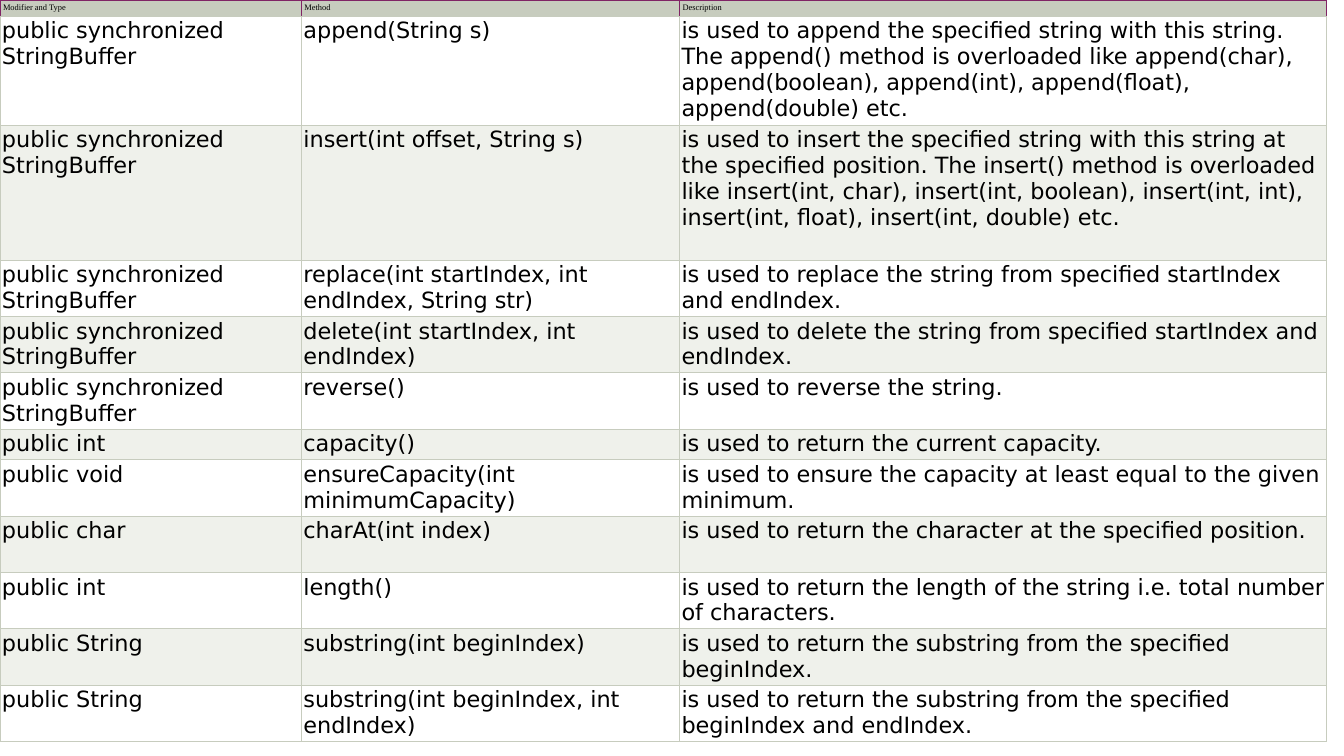
"""Build a slide with a reference table of StringBuffer methods."""
import dataclasses

import lxml.etree
import pptx
import pptx.dml.color
import pptx.oxml.ns
import pptx.util

HEAD = ("Modifier and Type", "Method", "Description")
SYNC = "public synchronized StringBuffer"
ROWS = [
    (SYNC, "append(String s)",
     "is used to append the specified string with this string. The append() method is "
     "overloaded like append(char), append(boolean), append(int), append(float), "
     "append(double) etc."),
    (SYNC, "insert(int offset, String s)",
     "is used to insert the specified string with this string at the specified position. "
     "The insert() method is overloaded like insert(int, char), insert(int, boolean), "
     "insert(int, int), insert(int, float), insert(int, double) etc."),
    (SYNC, "replace(int startIndex, int endIndex, String str)",
     "is used to replace the string from specified startIndex and endIndex."),
    (SYNC, "delete(int startIndex, int endIndex)",
     "is used to delete the string from specified startIndex and endIndex."),
    (SYNC, "reverse()", "is used to reverse the string."),
    ("public int", "capacity()", "is used to return the current capacity."),
    ("public void", "ensureCapacity(int minimumCapacity)",
     "is used to ensure the capacity at least equal to the given minimum."),
    ("public char", "charAt(int index)",
     "is used to return the character at the specified position."),
    ("public int", "length()",
     "is used to return the length of the string i.e. total number of characters."),
    ("public String", "substring(int beginIndex)",
     "is used to return the substring from the specified beginIndex."),
    ("public String", "substring(int beginIndex, int endIndex)",
     "is used to return the substring from the specified beginIndex and endIndex."),
]
WIDTHS = (2.99, 3.75, 6.42)
HEIGHTS = {0: 0.16, 1: 1.08, 2: 1.34, 6: 0.3}
TWO_LINES = 0.56


@dataclasses.dataclass(frozen=True)
class Theme:
    """Colours, fonts and sizes of the slide."""
    ink: str = "000000"
    sage: str = "C7CCBE"
    plum: str = "802465"
    bands: tuple = ("EFF1EB", "FFFFFF")
    head_font: str = "Times New Roman"
    body_font: str = "DejaVu Sans"
    head_size: float = 6
    body_size: float = 16
    line: float = 0.75


THEME = Theme()
Inches = pptx.util.Inches
Pt = pptx.util.Pt


def color(code):
    """Turn a hex code into a colour."""
    return pptx.dml.color.RGBColor.from_string(code)


def border(cell, side, code):
    """Draw one side of a cell."""
    qn = pptx.oxml.ns.qn
    props = cell._tc.get_or_add_tcPr()
    line = lxml.etree.SubElement(props, qn("a:ln" + side), w=str(Pt(THEME.line)))
    fill = lxml.etree.SubElement(line, qn("a:solidFill"))
    lxml.etree.SubElement(fill, qn("a:srgbClr"), val=code)


def fill_cell(cell, text, row):
    """Write and style one cell."""
    head = row == 0
    for side in "LRTB":
        border(cell, side, THEME.plum if head and side != "B" else THEME.sage)
    cell.fill.solid()
    cell.fill.fore_color.rgb = color(THEME.sage if head else THEME.bands[row % 2])
    inset = Inches(0.03 if head else 0.02)
    cell.margin_left = cell.margin_right = inset
    cell.margin_top = cell.margin_bottom = inset
    run = cell.text_frame.paragraphs[0].add_run()
    run.text = text
    run.font.name = THEME.head_font if head else THEME.body_font
    run.font.size = Pt(THEME.head_size if head else THEME.body_size)
    run.font.color.rgb = color(THEME.ink)


def main():
    """Make the deck and save it."""
    deck = pptx.Presentation()
    deck.slide_width, deck.slide_height = Inches(13.33), Inches(7.5)
    slide = deck.slides.add_slide(deck.slide_layouts[6])
    lines = [HEAD] + ROWS
    highs = [HEIGHTS.get(row, TWO_LINES) for row in range(len(lines))]
    frame = slide.shapes.add_table(len(lines), len(HEAD), 0, 0,
                                   Inches(sum(WIDTHS)), Inches(sum(highs)))
    table = frame.table
    table.first_row = table.horz_banding = False
    for col, width in zip(table.columns, WIDTHS):
        col.width = Inches(width)
    for row, (texts, high) in enumerate(zip(lines, highs)):
        table.rows[row].height = Inches(high)
        for col, text in enumerate(texts):
            fill_cell(table.cell(row, col), text, row)
    deck.save("out.pptx")


if __name__ == "__main__":
    main()
